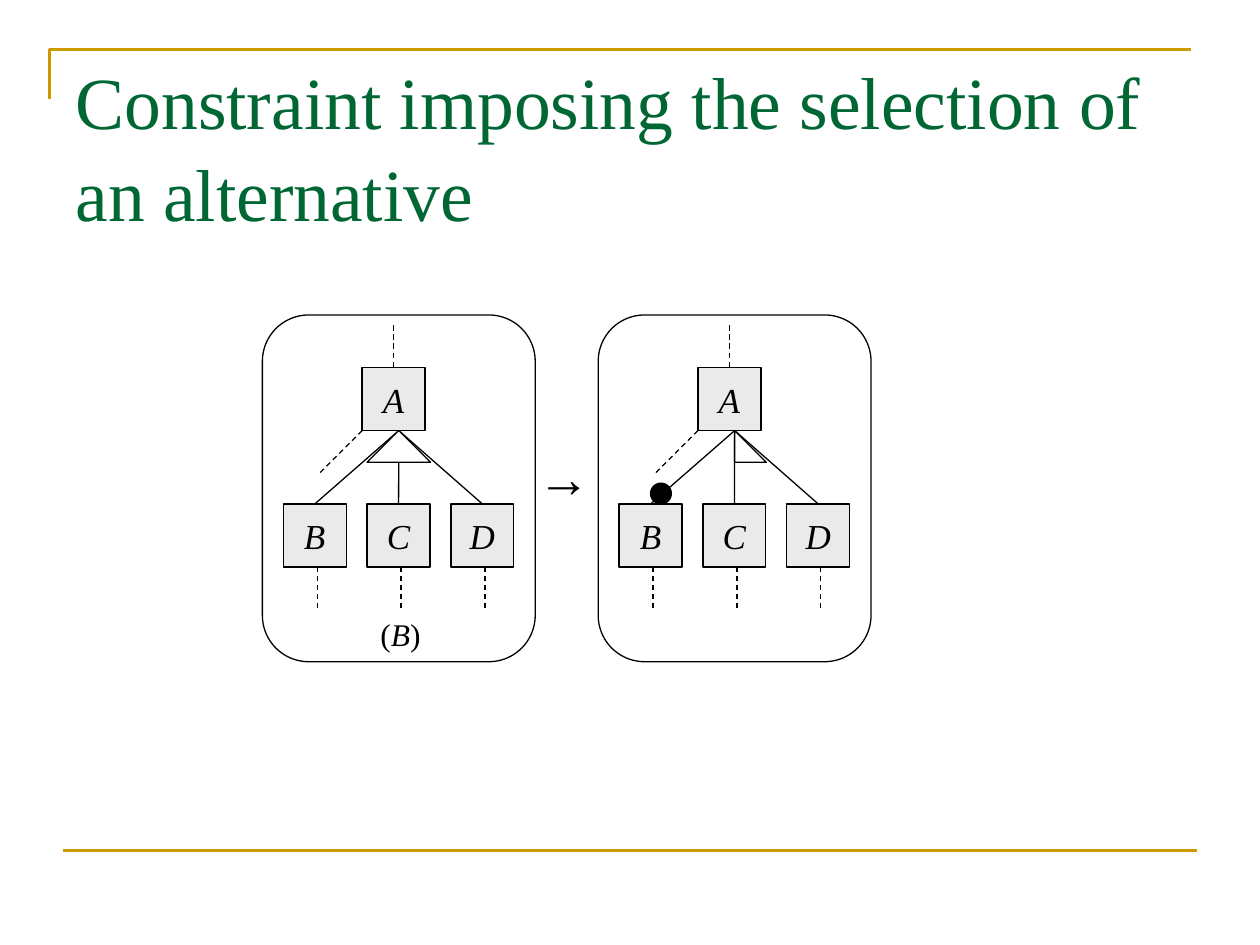
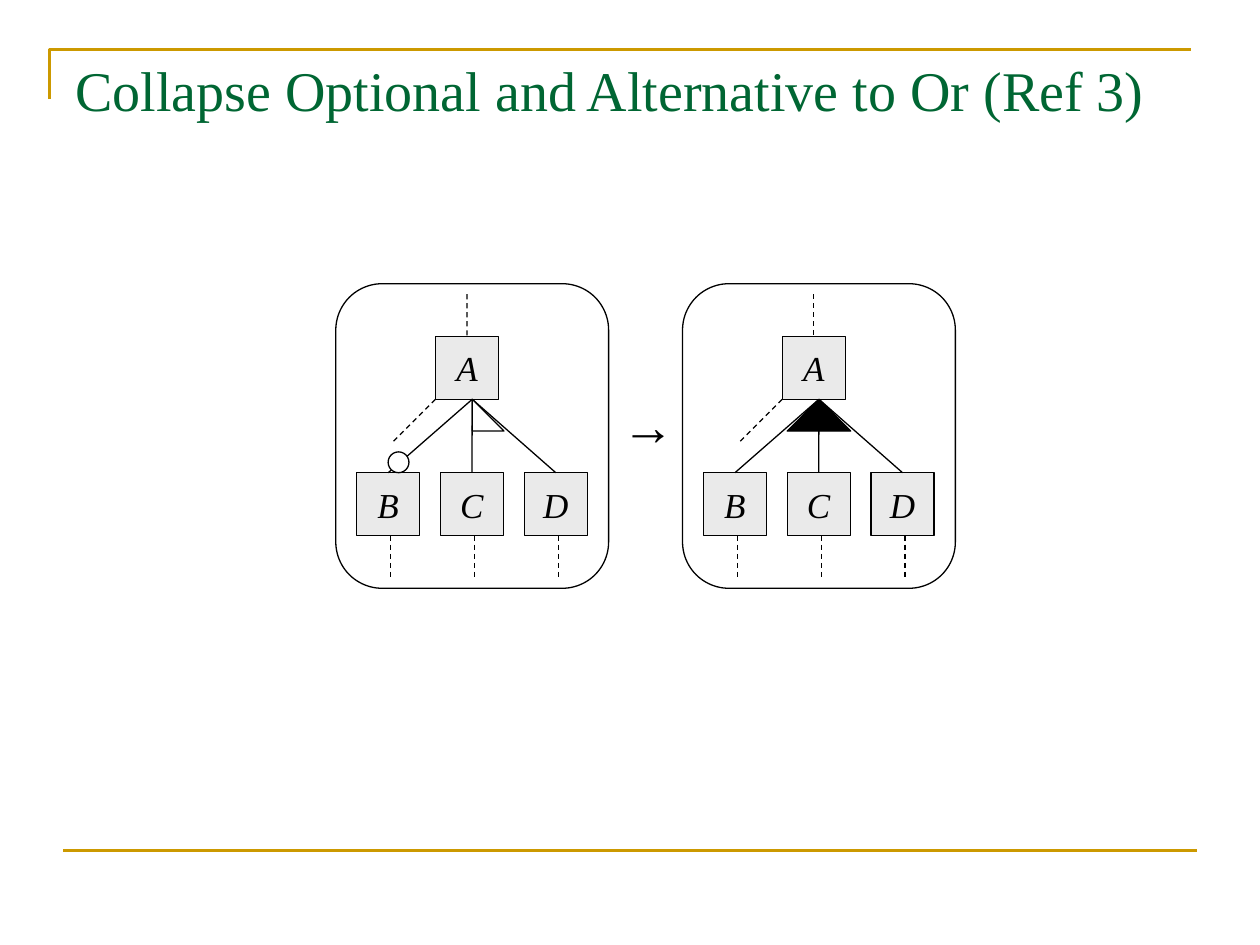
from lxml import etree
from pptx import Presentation
from pptx.dml.color import RGBColor
from pptx.enum import dml, shapes, text
from pptx.oxml.ns import qn
from pptx.util import Cm, Pt

GOLD, GREEN, GREY, BLACK, WHITE = "CC9900", "006633", "EAEAEA", "000000", "FFFFFF"
SERIF, MONO = "Times New Roman", "Courier New"
SHAPE = shapes.MSO_SHAPE

# Feature tree measures in cm, relative to the panel's corner
PANEL_W = 5.5
BOX = 1.27
PARENT_X, PARENT_Y = 2.01, 1.06
CHILD_X, CHILD_Y, CHILD_STEP = 0.42, 3.81, 1.69
STUB = 0.85
STUB_SHIFT = 0.05
MARK = 0.64
DOT = 0.42


def rgb(color):
    return RGBColor.from_string(color)


def write(tf, content, size=20, color=BLACK, font=SERIF, italic=False,
          align=text.PP_ALIGN.LEFT):
    """Append a formatted run to the first paragraph of a text frame."""
    p = tf.paragraphs[0]
    p.alignment = align
    r = p.add_run()
    r.text = content
    r.font.name, r.font.size = font, Pt(size)
    r.font.italic = italic
    r.font.color.rgb = rgb(color)


class Deck:
    def __init__(self):
        self.prs = Presentation()
        self.prs.slide_width, self.prs.slide_height = Cm(25.4), Cm(19.05)
        self.s = None

    def slide(self, title, size):
        self.s = self.prs.slides.add_slide(self.prs.slide_layouts[5])
        self.frame()
        sp = self.s.shapes.title
        sp.left, sp.top, sp.width, sp.height = Cm(1.27), Cm(0.76), Cm(22.86), Cm(3.18)
        tf = sp.text_frame
        tf.word_wrap, tf.auto_size = True, text.MSO_AUTO_SIZE.NONE
        tf.vertical_anchor = text.MSO_ANCHOR.TOP
        tf.margin_top = Cm(0.3)
        write(tf, title, size=size, color=GREEN)
        tf.paragraphs[0].line_spacing = 1.04

    def frame(self):
        """Gold bracket round the title and gold rule at the foot."""
        fb = self.s.shapes.build_freeform(1.06, 2.33, scale=Cm(1))
        fb.add_line_segments([(1.06, 0.64), (23.92, 0.64)], close=False)
        self.style(fb.convert_to_shape(), None, GOLD, 1.5)
        self.line(1.27, 17.15, 24.13, 17.15, color=GOLD, width=1.5)

    def style(self, sp, fill, color=BLACK, width=0.75):
        sp.shadow.inherit = False
        if fill:
            sp.fill.solid()
            sp.fill.fore_color.rgb = rgb(fill)
        else:
            sp.fill.background()
        sp.line.color.rgb = rgb(color)
        sp.line.width = Pt(width)

    def shape(self, kind, x, y, w, h, fill=None):
        sp = self.s.shapes.add_shape(kind, Cm(x), Cm(y), Cm(w), Cm(h))
        self.style(sp, fill)
        return sp

    def line(self, x1, y1, x2, y2, color=BLACK, width=0.75, dash=False, end=None):
        cx = self.s.shapes.add_connector(
            shapes.MSO_CONNECTOR.STRAIGHT, Cm(x1), Cm(y1), Cm(x2), Cm(y2))
        cx.line.color.rgb = rgb(color)
        cx.line.width = Pt(width)
        if dash:
            cx.line.dash_style = dml.MSO_LINE.DASH
        etree.SubElement(cx._element.spPr, qn("a:effectLst"))
        if end is not None:
            cx.end_connect(end, 0)

    def box(self, name, x, y):
        sp = self.shape(SHAPE.RECTANGLE, x, y, BOX, BOX, GREY)
        tf = sp.text_frame
        tf.word_wrap = False
        tf.vertical_anchor = text.MSO_ANCHOR.MIDDLE
        write(tf, name, italic=True, align=text.PP_ALIGN.CENTER)
        return sp

    def label(self, x, y, w, h):
        tf = self.s.shapes.add_textbox(Cm(x), Cm(y), Cm(w), Cm(h)).text_frame
        tf.word_wrap = False
        tf.auto_size = text.MSO_AUTO_SIZE.SHAPE_TO_FIT_TEXT
        return tf

    def arrow(self, x, y):
        write(self.label(x, y, 1.14, 1.52), "→", size=30, font=MONO)

    def tree(self, x, y, h, group=None, pair=None, dot=None):
        """Panel with A over B, C, D; group and pair are arc fills, dot marks B."""
        panel = self.shape(SHAPE.ROUNDED_RECTANGLE, x, y, PANEL_W, h)
        panel.adjustments[0] = 0.17

        # Parent and its open ends
        left, top = x + PARENT_X, y + PARENT_Y
        bottom = top + BOX
        parent = self.box("A", left, top)
        mid = left + BOX / 2
        self.line(mid, top - STUB, mid, top, dash=True, end=parent)
        self.line(left, bottom, left - STUB, bottom + STUB, dash=True)

        # Children, their branches and open ends
        apex, row = x + PANEL_W / 2, y + CHILD_Y
        for i, name in enumerate("BCD"):
            cx = x + CHILD_X + i * CHILD_STEP
            child = self.box(name, cx, row)
            mid = cx + BOX / 2
            self.line(apex, bottom, mid, row, end=child)
            stub = mid + STUB_SHIFT
            self.line(stub, row + BOX, stub, row + BOX + STUB, dash=True)

        # Marks for alternative, or, optional and mandatory
        if group:
            self.shape(SHAPE.ISOSCELES_TRIANGLE, apex - MARK, bottom, 2 * MARK, MARK, group)
        if pair:
            self.shape(SHAPE.RIGHT_TRIANGLE, apex, bottom, MARK, MARK, pair)
        if dot:
            self.shape(SHAPE.OVAL, x + CHILD_X + BOX / 2, row - DOT, DOT, DOT, dot)


def main():
    deck = Deck()

    # Selecting one alternative
    deck.slide("Constraint imposing the selection of an alternative", 42)
    deck.tree(5.29, 6.35, 6.99, group=WHITE)
    deck.tree(12.06, 6.35, 6.99, pair=WHITE, dot=BLACK)
    deck.arrow(10.8, 8.84)
    tf = deck.label(7.42, 12.27, 1.32, 1.02)
    for part in "(B)":
        write(tf, part, size=18, italic=part == "B")

    # Optional and alternative become or
    deck.slide("Collapse Optional and Alternative to Or (Ref 3)", 32)
    deck.tree(6.77, 5.72, 6.14, pair=WHITE, dot=WHITE)
    deck.tree(13.76, 5.72, 6.14, group=BLACK)
    deck.arrow(12.5, 7.8)

    deck.prs.save("out.pptx")


if __name__ == "__main__":
    main()
